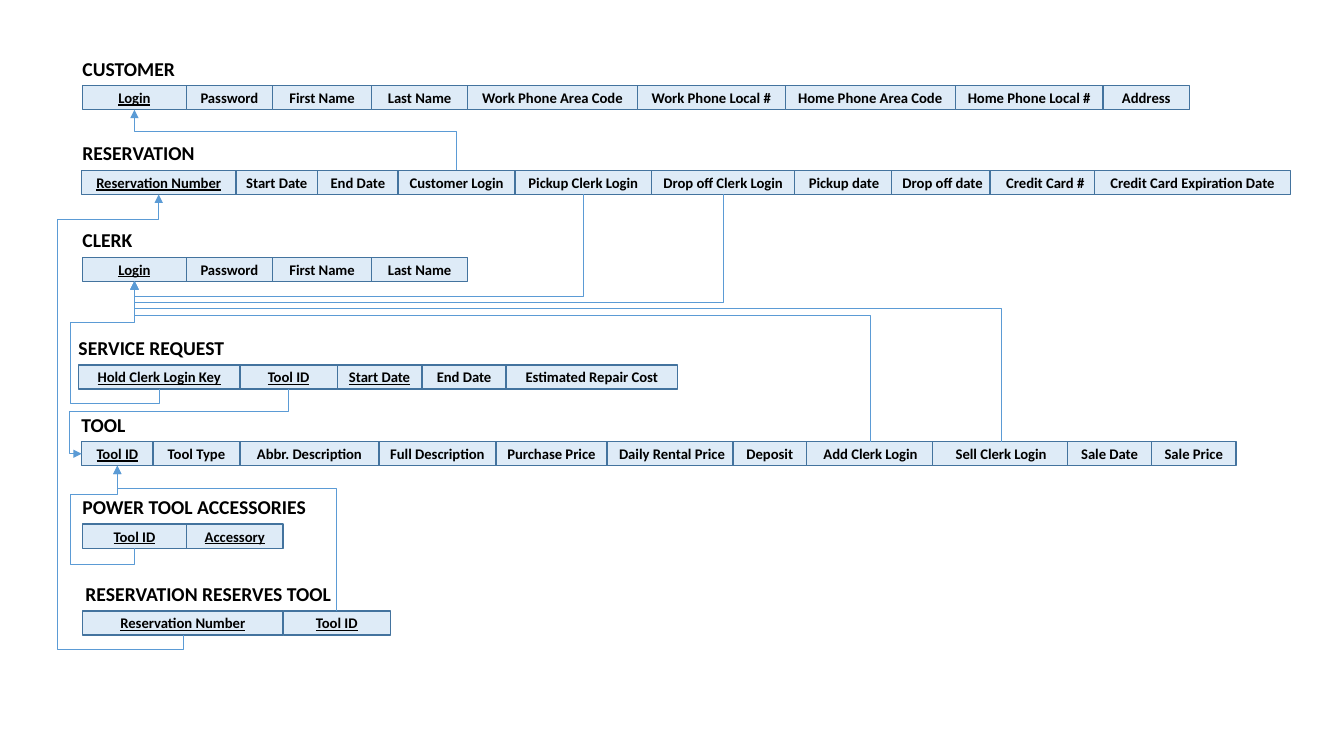
from lxml import etree
from pptx import Presentation
from pptx.dml.color import RGBColor
from pptx.enum import shapes, text
from pptx.oxml import ns
from pptx.util import Pt

CELL_FILL = RGBColor(0xDE, 0xEB, 0xF7)
CELL_LINE = RGBColor(0x43, 0x73, 0x9E)
LINK_LINE = RGBColor(0x5B, 0x9B, 0xD5)
BLACK = RGBColor(0, 0, 0)
WHITE = RGBColor(255, 255, 255)
FONT = "Calibri"
ROW_HEIGHT = 17.2
TITLE_HEIGHT = 24.4
TOP, LEFT, BOTTOM = 0, 1, 2

PERSON_FIELDS = [("Login", 74.2), ("Password", 61.4), ("First Name", 70.9), ("Last Name", 68.5)]

# Each table: title, title left, title width, row left, row top, key count, fields.
# Each field: label, step to the next field, optional overlap with it.
TABLES = [
    ("CUSTOMER", 51.8, 81.4, 59, 61.2, 1, PERSON_FIELDS + [
        ("Work Phone Area Code", 121.3), ("Work Phone Local #", 105.6),
        ("Home Phone Area Code", 121.5), ("Home Phone Local #", 105.5), ("Address", 61.8)]),
    ("RESERVATION", 51.8, 95.8, 58.3, 121.7, 1, [
        ("Reservation Number", 110.2), ("Start Date", 58.5), ("End Date", 57.4),
        ("Customer Login", 83.5), ("Pickup Clerk Login", 97.5), ("Drop off Clerk Login", 102.2),
        ("Pickup date", 69.1, 1.4), ("Drop off date", 70.4, 2.9),
        ("Credit Card #", 74.9, 4.3), ("Credit Card Expiration Date", 139.7)]),
    ("CLERK", 51.8, 50.4, 59, 183.7, 1, PERSON_FIELDS),
    ("SERVICE REQUEST", 49, 119.5, 56.2, 260.7, 3, [
        ("Hold Clerk Login Key", 115.2), ("Tool ID", 69.5), ("Start Date", 60.5),
        ("End Date", 60.2), ("Estimated Repair Cost", 122.4)]),
    ("TOOL", 51.1, 46.1, 58.3, 315.5, 1, [
        ("Tool ID", 51.1), ("Tool Type", 61.9), ("Abbr. Description", 99.4),
        ("Full Description", 83.5), ("Purchase Price", 79.4), ("Daily Rental Price", 90, 2.9),
        ("Deposit", 52.6), ("Add Clerk Login", 90, 1.4), ("Sell Clerk Login", 96.5, 1.4),
        ("Sale Date", 59.8), ("Sale Price", 60.5)]),
    ("POWER TOOL ACCESSORIES", 51.8, 175.7, 59, 374.4, 2, [("Tool ID", 74.2), ("Accessory", 69.1)]),
    ("RESERVATION RESERVES TOOL", 54, 191.5, 59, 436.3, 2, [
        ("Reservation Number", 143.3), ("Tool ID", 76.5)]),
]

# Each link: source table and field, side, target table and field, side, turns (y, x, y in order).
LINKS = [
    ("RESERVATION", "Customer Login", TOP, "CUSTOMER", "Login", BOTTOM, [93.8]),
    ("RESERVATION", "Pickup Clerk Login", BOTTOM, "CLERK", "Login", BOTTOM, [211.4]),
    ("RESERVATION", "Drop off Clerk Login", BOTTOM, "CLERK", "Login", BOTTOM, [216]),
    ("TOOL", "Sell Clerk Login", TOP, "CLERK", "Login", BOTTOM, [220.4]),
    ("TOOL", "Add Clerk Login", TOP, "CLERK", "Login", BOTTOM, [225.4]),
    ("SERVICE REQUEST", "Hold Clerk Login Key", BOTTOM, "CLERK", "Login", BOTTOM, [288.2, 50.4, 230.2]),
    ("SERVICE REQUEST", "Tool ID", BOTTOM, "TOOL", "Tool ID", LEFT, [293.8, 49.7]),
    ("POWER TOOL ACCESSORIES", "Tool ID", BOTTOM, "TOOL", "Tool ID", BOTTOM, [403.2, 50.4, 352.8]),
    ("RESERVATION RESERVES TOOL", "Tool ID", TOP, "TOOL", "Tool ID", BOTTOM, [349.1]),
    ("RESERVATION RESERVES TOOL", "Reservation Number", BOTTOM,
     "RESERVATION", "Reservation Number", BOTTOM, [463.9, 41.2, 156.9]),
]


def add_run(paragraph, label, size, underline=False):
    """Add one bold black run to a paragraph."""
    run = paragraph.add_run()
    run.text = label
    run.font.name, run.font.size, run.font.bold = FONT, Pt(size), True
    run.font.underline = underline or None
    run.font.color.rgb = BLACK


def add_title(slide, label, left, top, width):
    """Place a table name in an unwrapped text box."""
    box = slide.shapes.add_textbox(Pt(left), Pt(top), Pt(width), Pt(TITLE_HEIGHT))
    box.text_frame.word_wrap = False
    box.text_frame.auto_size = text.MSO_AUTO_SIZE.SHAPE_TO_FIT_TEXT
    add_run(box.text_frame.paragraphs[0], label, 14)


def add_field(slide, label, left, top, width, is_key):
    """Draw one field cell, underlined when it is a key."""
    cell = slide.shapes.add_shape(shapes.MSO_SHAPE.RECTANGLE, Pt(left), Pt(top), Pt(width), Pt(ROW_HEIGHT))
    cell.shadow.inherit = False
    cell.fill.solid()
    cell.fill.fore_color.rgb = CELL_FILL
    cell.line.color.rgb = CELL_LINE
    cell.line.width = Pt(1)
    frame = cell.text_frame
    frame.margin_left = frame.margin_right = frame.margin_top = frame.margin_bottom = 0
    frame.vertical_anchor = text.MSO_ANCHOR.MIDDLE
    paragraph = frame.paragraphs[0]
    paragraph.alignment = text.PP_ALIGN.CENTER
    add_run(paragraph, label, 10.5, is_key)
    return cell


def add_table_row(slide, left, top, key_count, fields):
    """Lay fields side by side and return the cells by label."""
    cells = {}
    for index, (label, step, *overlap) in enumerate(fields):
        cells[label] = add_field(slide, label, left, top, step + sum(overlap), index < key_count)
        left += step
    return cells


def site_position(cell, side):
    """Return the point at the middle of a cell side."""
    if side == LEFT:
        return cell.left, cell.top + cell.height // 2
    return cell.left + cell.width // 2, cell.top + (cell.height if side == BOTTOM else 0)


def add_link(slide, source, source_side, target, target_side, turns):
    """Join two cells with a bent arrow that leaves vertically and follows the turns."""
    start, end = site_position(source, source_side), site_position(target, target_side)
    link = slide.shapes.add_connector(shapes.MSO_CONNECTOR.ELBOW, *start, *end)
    link.begin_connect(source, source_side)
    link.end_connect(target, target_side)
    across, down = end[0] - start[0], end[1] - start[1]
    link.width, link.height = abs(down), abs(across)
    link.left = (start[0] + end[0] - abs(down)) // 2
    link.top = (start[1] + end[1] - abs(across)) // 2
    link.line.color.rgb = LINK_LINE
    link.line.width = Pt(0.5)
    properties = link._element.spPr
    frame = properties.find(ns.qn("a:xfrm"))
    for flip in ("flipH", "flipV"):
        frame.attrib.pop(flip, None)
    frame.set("rot", str(90 * 60000))
    if down < 0:
        frame.set("flipH", "1")
    geometry = properties.find(ns.qn("a:prstGeom"))
    geometry.set("prst", f"bentConnector{len(turns) + 2}")
    adjustments = geometry.find(ns.qn("a:avLst"))
    for index, turn in enumerate(turns):
        origin, span = (start[0], across) if index % 2 else (start[1], down)
        value = round((Pt(turn) - origin) / span * 100000)
        etree.SubElement(adjustments, ns.qn("a:gd"), name=f"adj{index + 1}", fmla=f"val {value}")
    etree.SubElement(properties.find(ns.qn("a:ln")), ns.qn("a:tailEnd"), type="triangle")
    etree.SubElement(properties, ns.qn("a:effectLst"))


def build_schema(slide):
    """Draw every table and then the links between key fields."""
    cells = {}
    for title, title_left, title_width, left, top, key_count, fields in TABLES:
        add_title(slide, title, title_left, top - TITLE_HEIGHT, title_width)
        cells[title] = add_table_row(slide, left, top, key_count, fields)
    for source, source_field, source_side, target, target_field, target_side, turns in LINKS:
        add_link(slide, cells[source][source_field], source_side,
                 cells[target][target_field], target_side, turns)


presentation = Presentation()
presentation.slide_width, presentation.slide_height = Pt(960), Pt(540)
schema_slide = presentation.slides.add_slide(presentation.slide_layouts[6])
schema_slide.background.fill.solid()
schema_slide.background.fill.fore_color.rgb = WHITE
build_schema(schema_slide)
presentation.save("out.pptx")
